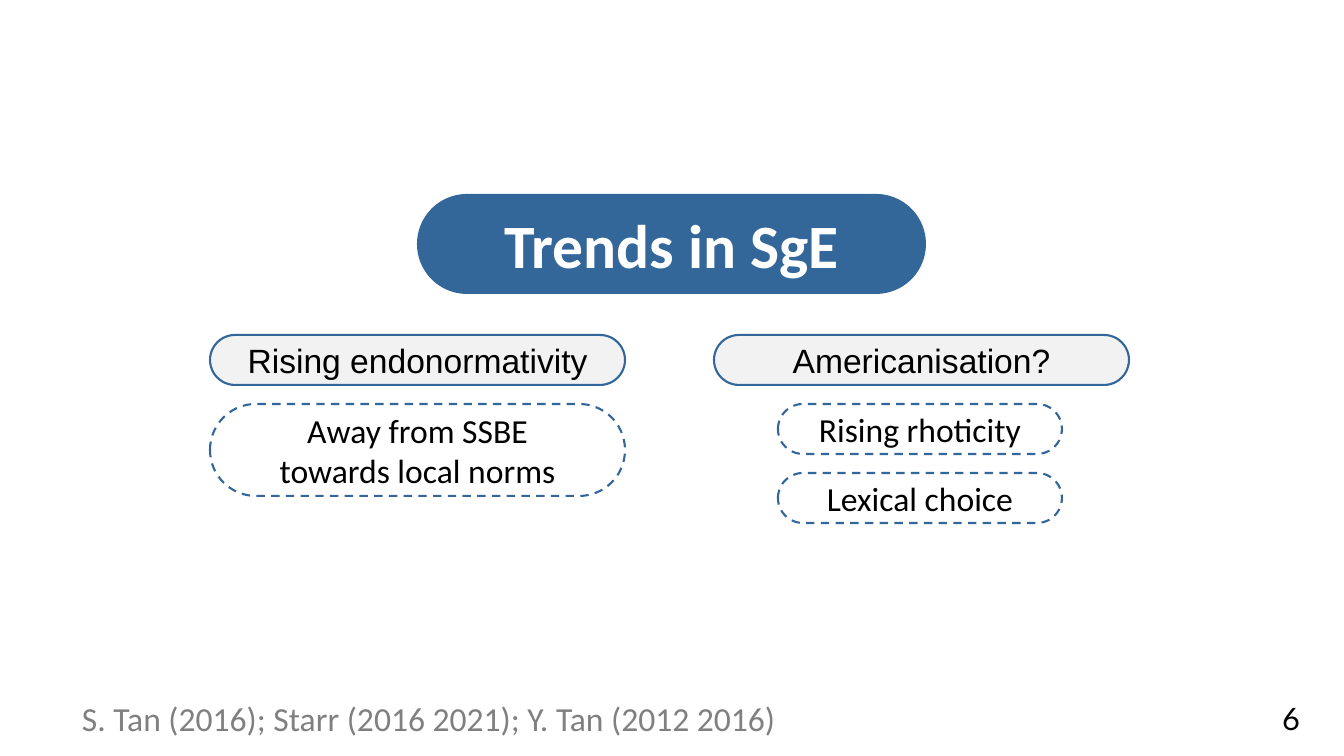
from pptx import Presentation, util as u
from pptx.dml.color import RGBColor
from pptx.enum import dml, shapes, text

BLUE, PALE, GREY = "336699", "F2F2F2", "808080"
BLACK, WHITE = "000000", "FFFFFF"
PX = 914400 / 100.8
TITLE_ONLY = 5


def px(length):
    return u.Emu(round(length * PX))


def rgb(hex_colour):
    return RGBColor.from_string(hex_colour)


class TrendSlide:
    """Holds the slide and its pill style; lengths are in px."""

    font = "Calibri"
    size = 24
    line_width = 1.5

    def __init__(self, deck):
        self.slide = deck.slides.add_slide(deck.slide_layouts[TITLE_ONLY])

    def set_words(self, frame, words, colour=BLACK, font=None, size=None,
                  bold=False, align=text.PP_ALIGN.CENTER,
                  anchor=text.MSO_ANCHOR.MIDDLE):
        frame.text = words
        frame.word_wrap = False
        frame.auto_size = text.MSO_AUTO_SIZE.NONE
        frame.vertical_anchor = anchor
        for paragraph in frame.paragraphs:
            paragraph.alignment = align
            paragraph.line_spacing = 1.0
            paragraph.font.name = font or self.font
            paragraph.font.size = u.Pt(size or self.size)
            paragraph.font.bold = bold
            paragraph.font.color.rgb = rgb(colour)

    def pill(self, box, fill=None, line=BLUE, dashed=False):
        pill = self.slide.shapes.add_shape(
            shapes.MSO_SHAPE.ROUNDED_RECTANGLE, *map(px, box))
        pill.adjustments[0] = 0.5
        pill.shadow.inherit = False
        if fill:
            pill.fill.solid()
            pill.fill.fore_color.rgb = rgb(fill)
        else:
            pill.fill.background()
        if line:
            pill.line.color.rgb = rgb(line)
            pill.line.width = u.Pt(self.line_width)
        else:
            pill.line.fill.background()
        if dashed:
            pill.line.dash_style = dml.MSO_LINE.DASH
        return pill

    def title(self, words, box):
        """Set the title placeholder on a solid pill."""
        self.pill(box, fill=BLUE, line=None)
        heading = self.slide.shapes.title
        heading.left, heading.top, heading.width, heading.height = map(px, box)
        self.set_words(heading.text_frame, words, WHITE, size=44, bold=True)
        # Bring the words in front of the pill
        heading.element.getparent().append(heading.element)

    def trend(self, words, box):
        self.set_words(self.pill(box, fill=PALE).text_frame, words,
                       font="Arial")

    def detail(self, words, box):
        self.set_words(self.pill(box, dashed=True).text_frame, words)

    def label(self, words, box, **style):
        label = self.slide.shapes.add_textbox(*map(px, box))
        self.set_words(label.text_frame, words, **style)
        return label


def main():
    deck = Presentation()
    deck.slide_width, deck.slide_height = px(1344), px(756)
    page = TrendSlide(deck)

    page.title("Trends in SgE", (417, 194, 509, 100))

    top, pitch, height = 335, 69, 50
    columns = [
        ("Rising endonormativity", 210, 210, 415, 92,
         ["Away from SSBE\ntowards local norms"]),
        ("Americanisation?", 714, 778, 284, height,
         ["Rising rhoticity", "Lexical choice"]),
    ]
    for trend, left, detail_left, detail_width, detail_height, details in columns:
        page.trend(trend, (left, top, 415, height))
        for row, detail in enumerate(details, start=1):
            page.detail(detail, (detail_left, top + row * pitch,
                                 detail_width, detail_height))

    sources = page.label("S. Tan (2016); Starr (2016 2021); Y. Tan (2012 2016)",
                         (82, 693, 704, 50), colour=GREY,
                         align=text.PP_ALIGN.LEFT)
    sources.text_frame.margin_left = 0
    page.label("6", (1008, 695, 302, 40), font="Lato", size=22,
               align=text.PP_ALIGN.RIGHT, anchor=text.MSO_ANCHOR.TOP)

    deck.save("out.pptx")


if __name__ == "__main__":
    main()
